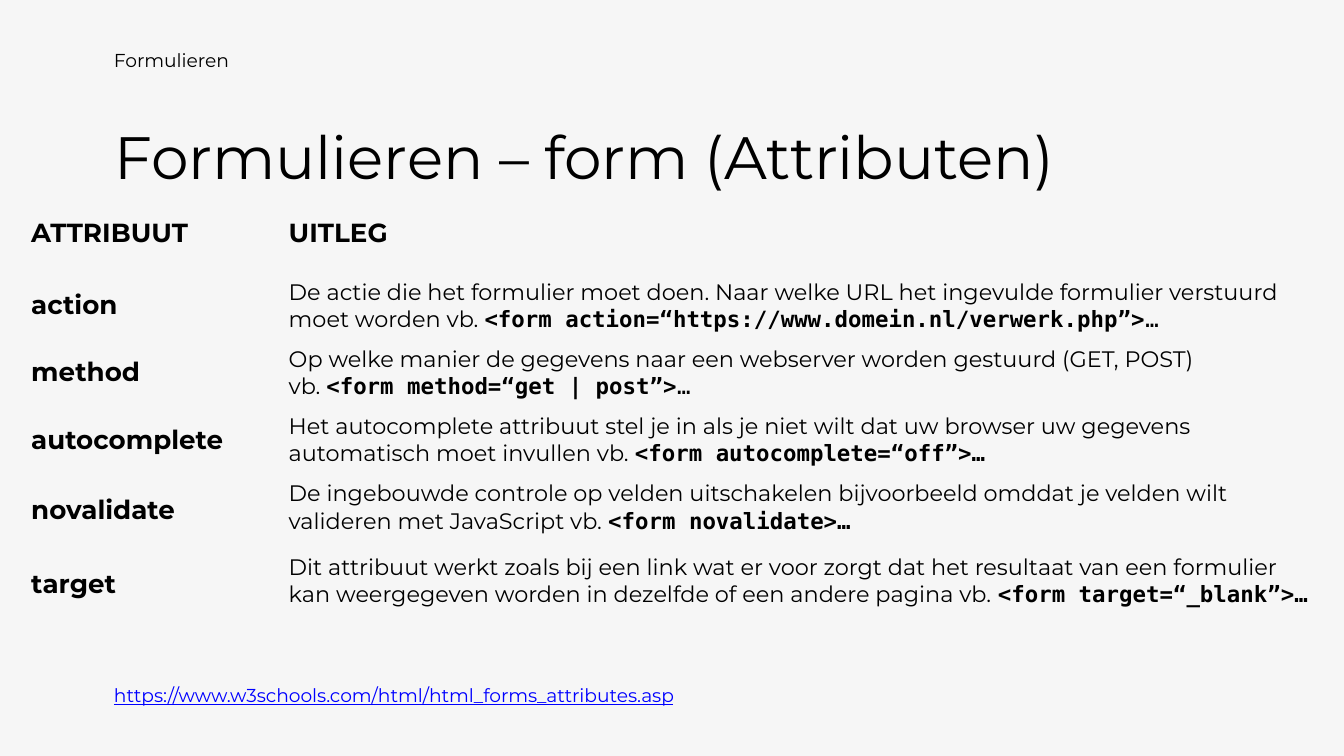
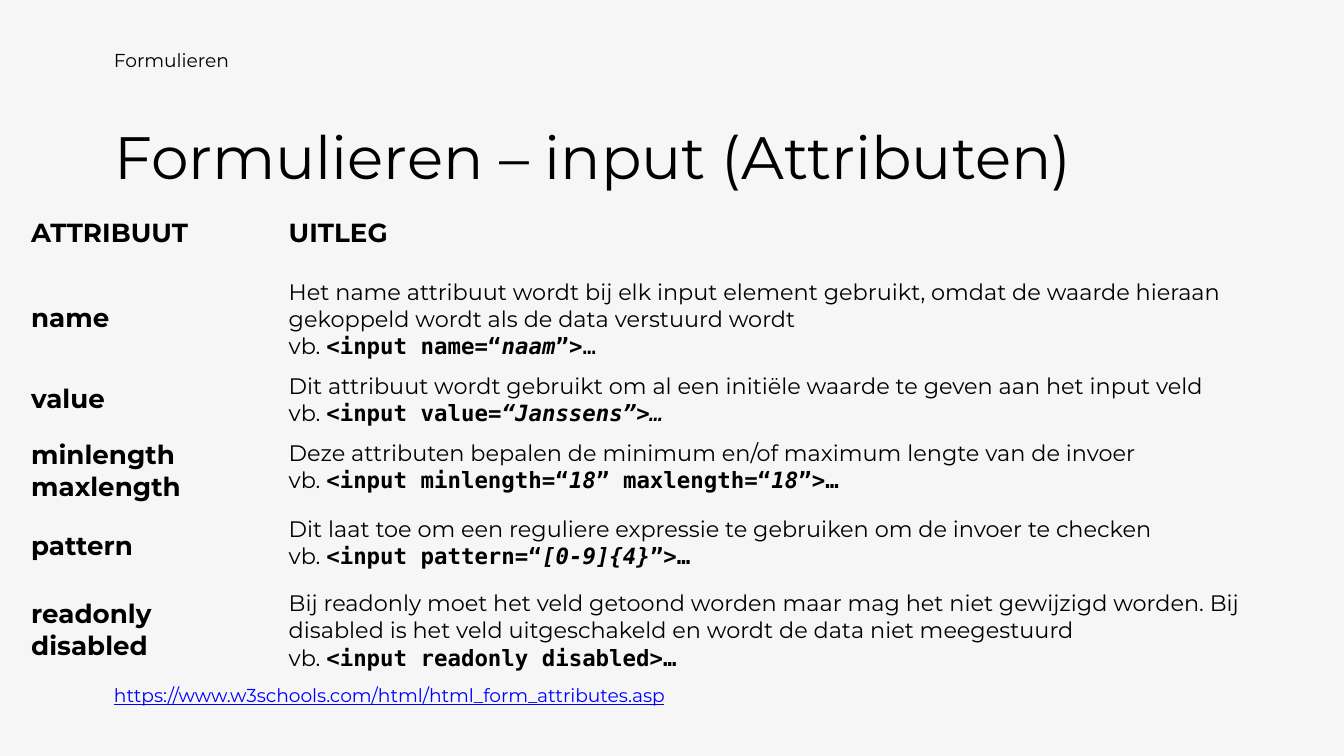
"""Build two slides that explain the attributes of HTML forms and inputs."""
from pptx import Presentation
from pptx.dml.color import RGBColor
from pptx.enum.text import MSO_ANCHOR as Anchor, MSO_AUTO_SIZE as AutoSize, PP_ALIGN as Align
from pptx.oxml.ns import qn
from pptx.util import Pt

COLORS = {"background": "F6F6F6", "text": "000000", "link": "0000FF"}
SANS, MONO = "Montserrat", "DejaVu Sans Mono"
NO_GRID = "{2D5ABB26-0587-4C30-8999-92F81FD0307C}"
COLUMN_WIDTHS = (138, 563)
ROW_HEIGHTS = (32.5, 32.5, 32.5, 32.5, 39.5, 39.5)

TOPICS = [
    ("Formulieren – form (Attributen)",
     "https://www.w3schools.com/html/html_forms_attributes.asp",
     [("action",
       "De actie die het formulier moet doen. Naar welke URL het ingevulde formulier "
       "verstuurd moet worden vb. ",
       [("<form action=“https://www.domein.nl/verwerk.php”>", "b"), ("…", "")]),
      ("method",
       "Op welke manier de gegevens naar een webserver worden gestuurd (GET, POST)\nvb. ",
       [("<form method=“get | post”>", "b"), ("…", "")]),
      ("autocomplete",
       "Het autocomplete attribuut stel je in als je niet wilt dat uw browser uw gegevens "
       "automatisch moet invullen vb. ",
       [("<form autocomplete=“off”>…", "b")]),
      ("novalidate",
       "De ingebouwde controle op velden uitschakelen bijvoorbeeld omddat je velden wilt "
       "valideren met JavaScript vb. ",
       [("<form novalidate>…", "b")]),
      ("target",
       "Dit attribuut werkt zoals bij een link wat er voor zorgt dat het resultaat van een "
       "formulier kan weergegeven worden in dezelfde of een andere pagina vb. ",
       [("<form target=“_blank”>…", "b")])]),
    ("Formulieren – input (Attributen)",
     "https://www.w3schools.com/html/html_form_attributes.asp",
     [("name",
       "Het name attribuut wordt bij elk input element gebruikt, omdat de waarde hieraan "
       "gekoppeld wordt als de data verstuurd wordt\nvb. ",
       [("<input name=“", "b"), ("naam", "bi"), ("”>", "b"), ("…", "")]),
      ("value",
       "Dit attribuut wordt gebruikt om al een initiële waarde te geven aan het input veld\nvb. ",
       [("<input value", "b"), ("=“Janssens”>", "bi"), ("…", "i")]),
      ("minlength\nmaxlength",
       "Deze attributen bepalen de minimum en/of maximum lengte van de invoer\nvb. ",
       [("<input minlength=“", "b"), ("18", "bi"), ("” maxlength=“", "b"),
        ("18", "bi"), ("”>…", "b")]),
      ("pattern",
       "Dit laat toe om een reguliere expressie te gebruiken om de invoer te checken\nvb. ",
       [("<input pattern=“", "b"), ("[0-9]{4}", "bi"), ("”>…", "b")]),
      ("readonly\ndisabled",
       "Bij readonly moet het veld getoond worden maar mag het niet gewijzigd worden. Bij "
       "disabled is het veld uitgeschakeld en wordt de data niet meegestuurd\nvb. ",
       [("<input readonly disabled>…", "b")])]),
]


def style(font, size, color="text", bold=False, name=SANS):
    font.name, font.size, font.bold = name, Pt(size), bold
    font.color.rgb = RGBColor.from_string(COLORS[color])


def add_line(slide, text, top, width, height, color="text"):
    box = slide.shapes.add_textbox(Pt(54), Pt(top), Pt(width), Pt(height))
    box.text_frame.word_wrap = True
    line = box.text_frame.paragraphs[0]
    line.text = text
    style(line.font, 10, color)
    return line


prs = Presentation()
prs.slide_width, prs.slide_height = Pt(720), Pt(405)
backdrop = prs.slide_master.background.fill
backdrop.solid()
backdrop.fore_color.rgb = RGBColor.from_string(COLORS["background"])

for heading, address, attributes in TOPICS:
    slide = prs.slides.add_slide(prs.slide_layouts[5])
    add_line(slide, "Formulieren", 22.5, 324, 25)

    title = slide.shapes.title
    title.left, title.top, title.width, title.height = Pt(54), Pt(59), Pt(612), Pt(54)
    frame = title.text_frame
    frame.text = heading
    frame.word_wrap, frame.auto_size = True, AutoSize.NONE
    frame.vertical_anchor, frame.margin_top = Anchor.TOP, Pt(5)
    frame.paragraphs[0].alignment = Align.LEFT
    style(frame.paragraphs[0].font, 32)

    overview = slide.shapes.add_table(len(attributes) + 1, 2, Pt(9.5), Pt(113),
                                      Pt(sum(COLUMN_WIDTHS)), Pt(sum(ROW_HEIGHTS))).table
    overview.first_row = overview.horz_banding = False
    overview._tbl.tblPr.find(qn("a:tableStyleId")).text = NO_GRID
    for column, width in zip(overview.columns, COLUMN_WIDTHS):
        column.width = Pt(width)
    for row, height in zip(overview.rows, ROW_HEIGHTS):
        row.height = Pt(height)
    for cell in overview.iter_cells():
        cell.fill.background()

    labels = [(0, 0, "ATTRIBUUT"), (0, 1, "UITLEG")]
    labels += [(number, 0, entry[0]) for number, entry in enumerate(attributes, 1)]
    for number, column, label in labels:
        cell = overview.cell(number, column)
        cell.vertical_anchor = Anchor.MIDDLE if number else Anchor.TOP
        term = cell.text_frame.paragraphs[0]
        term.text = label
        style(term.font, 14, bold=True)

    for number, (_, explanation, example) in enumerate(attributes, 1):
        paragraph = overview.cell(number, 1).text_frame.paragraphs[0]
        paragraph.text = explanation
        paragraph.font.size = Pt(12)
        for run in paragraph.runs:
            style(run.font, 12)
        for code, emphasis in example:
            run = paragraph.add_run()
            run.text = code
            style(run.font, 12, bold="b" in emphasis, name=MONO)
            run.font.italic = "i" in emphasis

    add_line(slide, address, 363, 360, 19.5, "link").font.underline = True

prs.save("out.pptx")
